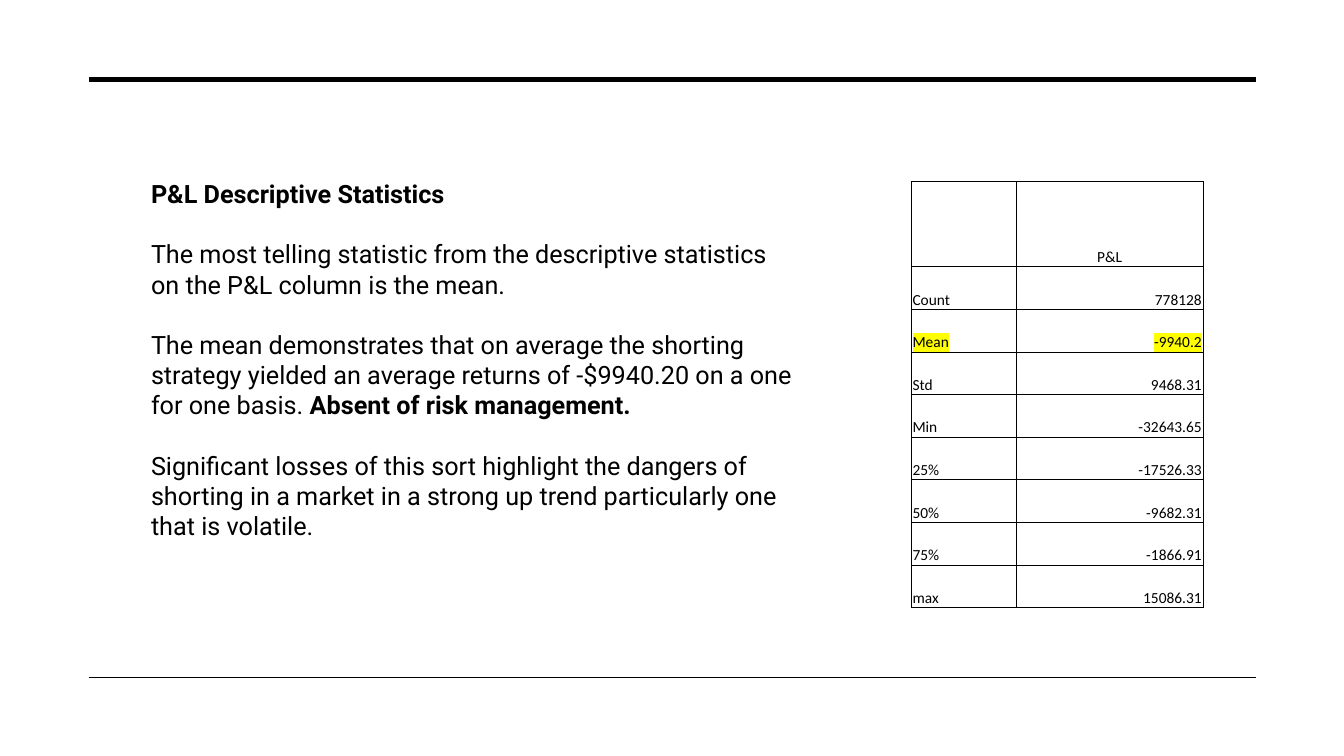
import pptx
import pptx.dml.color
import pptx.enum.shapes
import pptx.enum.text
import pptx.oxml.ns
import pptx.util
from lxml import etree

WIDTH, HEIGHT = pptx.util.Inches(13.33), pptx.util.Inches(7.5)
INK, MARKER = "000000", "FFFF00"
ALIGN = pptx.enum.text.PP_ALIGN

STORY = [
    [("P&L Descriptive Statistics", True)],
    [("The most telling statistic from the descriptive statistics on the P&L column is the mean.", False)],
    [("The mean demonstrates that on average the shorting strategy yielded an average returns of "
      "-$9940.20 on a one for one basis. ", False), ("Absent of risk management.", True)],
    [("Significant losses of this sort highlight the dangers of shorting in a market in a strong "
      "up trend particularly one that is volatile.", False)],
]
STATISTICS = [
    ("", "P&L"), ("Count", "778128"), ("Mean", "-9940.2"), ("Std", "9468.31"), ("Min", "-32643.65"),
    ("25%", "-17526.33"), ("50%", "-9682.31"), ("75%", "-1866.91"), ("max", "15086.31"),
]


def color(value):
    """Turn a hex string into a colour."""
    return pptx.dml.color.RGBColor.from_string(value)


def place(left, top, width, height):
    """Turn percentages of the slide into a box of lengths."""
    return [int(share * side / 100) for share, side in
            zip((left, top, width, height), (WIDTH, HEIGHT, WIDTH, HEIGHT))]


def add_child(parent, tag, **attributes):
    """Append a drawing element to a parent."""
    return etree.SubElement(parent, pptx.oxml.ns.qn(tag), attributes)


def add_span(para, text, font, size, bold=False):
    """Add one run of text to a paragraph."""
    span = para.add_run()
    span.text = text
    span.font.name, span.font.size, span.font.bold = font, pptx.util.Pt(size), bold
    span.font.color.rgb = color(INK)
    return span


def highlight(span):
    """Mark a run with the marker colour."""
    properties = span.font.fill._xPr
    mark = add_child(properties, "a:highlight")
    add_child(mark, "a:srgbClr", val=MARKER)
    properties.find(pptx.oxml.ns.qn("a:latin")).addprevious(mark)


def add_rule(page, box, weight):
    """Draw a horizontal rule along the top of the box."""
    left, top, width, _ = box
    rule = page.shapes.add_connector(
        pptx.enum.shapes.MSO_CONNECTOR.STRAIGHT, left, top, left + width, top)
    rule.line.color.rgb = color(INK)
    rule.line.width = pptx.util.Pt(weight)
    add_child(rule._element.spPr, "a:effectLst")


def add_story(page, box):
    """Write the heading and its commentary in the box."""
    frame = page.shapes.add_textbox(*box).text_frame
    frame.word_wrap = True
    for index, spans in enumerate(STORY):
        para = frame.paragraphs[0] if index == 0 else frame.add_paragraph()
        para.space_before = pptx.util.Pt(21.5 if index else 0)
        for text, bold in spans:
            add_span(para, text, "Roboto", 18, bold)


def style_cell(cell):
    """Give a cell thin borders, tight margins and no fill."""
    properties = cell._tc.get_or_add_tcPr()
    for side in "LRTB":
        border = add_child(properties, f"a:ln{side}", w=str(pptx.util.Pt(0.5)))
        add_child(add_child(border, "a:solidFill"), "a:srgbClr", val=INK)
    cell.fill.background()
    cell.vertical_anchor = pptx.enum.text.MSO_ANCHOR.BOTTOM
    cell.margin_left = cell.margin_right = cell.margin_top = pptx.util.Inches(0.01)
    cell.margin_bottom = 0


def add_statistics(page, box):
    """Fill the box with the table, its header two rows tall."""
    table = page.shapes.add_table(len(STATISTICS), 2, *box).table
    table.first_row = table.horz_banding = False
    width, height = box[2:]
    for column, share in zip(table.columns, (0.36, 0.64)):
        column.width = int(width * share)
    unit = height // (len(STATISTICS) + 1)
    for row, values in enumerate(STATISTICS):
        table.rows[row].height = unit * (2 if row == 0 else 1)
        for column, text in enumerate(values):
            cell = table.cell(row, column)
            style_cell(cell)
            if not text:
                continue
            para = cell.text_frame.paragraphs[0]
            para.alignment = ALIGN.CENTER if row == 0 else (ALIGN.LEFT, ALIGN.RIGHT)[column]
            span = add_span(para, text, "Calibri", 11)
            if values[0] == "Mean":
                highlight(span)


def main():
    """Build the slide and save it."""
    deck = pptx.Presentation()
    deck.slide_width, deck.slide_height = WIDTH, HEIGHT
    page = deck.slides.add_slide(deck.slide_layouts[6])
    add_rule(page, place(6.6, 10.53, 86.87, 0), 3.5)
    add_rule(page, place(6.6, 89.6, 86.87, 0), 1)
    add_story(page, place(10.5, 22.93, 49.59, 49.87))
    add_statistics(page, place(67.82, 24, 21.68, 56.4))
    deck.save("out.pptx")


if __name__ == "__main__":
    main()
